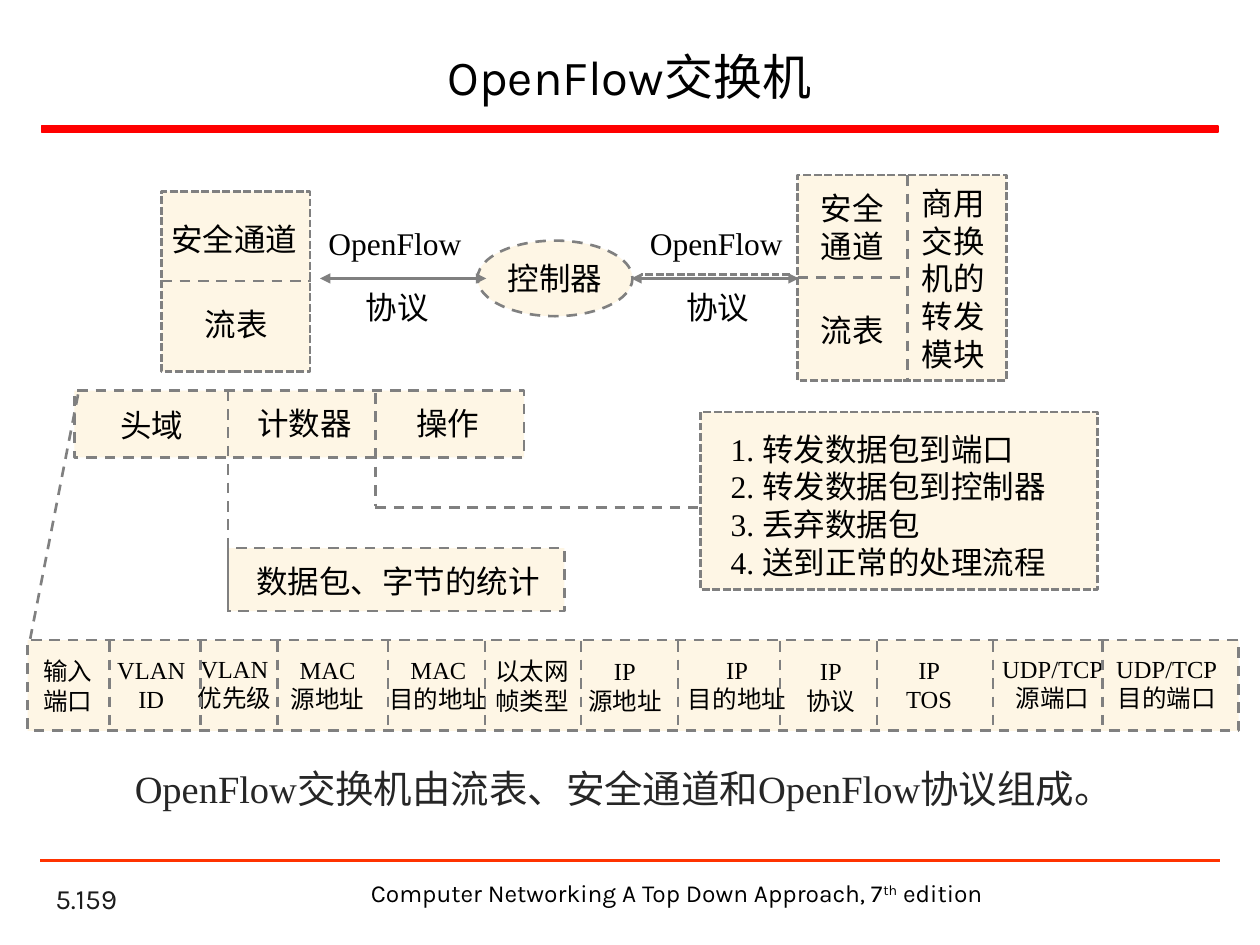
from dataclasses import dataclass

import pptx
import pptx.dml.color
import pptx.enum.dml
import pptx.enum.shapes
import pptx.enum.text
import pptx.oxml
import pptx.oxml.ns
import pptx.util

PX = 9144  # one px is a hundredth of an inch
SERIF, SANS = "Times New Roman", "Karla"
BLACK, GREY, CREAM, RED = "000000", "808080", "FEF6E5", "FF0000"
Dash = pptx.enum.dml.MSO_LINE
Kind = pptx.enum.shapes.MSO_SHAPE
Align = pptx.enum.text.PP_ALIGN
Anchor = pptx.enum.text.MSO_ANCHOR


@dataclass
class Panel:
    left: int
    top: int
    width: int
    height: int
    dash: Dash | None = Dash.DASH
    kind: Kind = Kind.RECTANGLE
    fill: str = CREAM
    line: str = GREY
    weight: float = 1.5


@dataclass
class Rule:
    x1: int
    y1: int
    x2: int
    y2: int
    dash: Dash | None = Dash.DASH
    arrows: bool = False
    color: str = GREY


@dataclass
class Label:
    text: str  # one paragraph a line
    left: int
    top: int
    width: int = 147
    height: int = 40
    size: int = 18
    font: str = SERIF
    color: str = BLACK
    align: Align = Align.CENTER
    anchor: Anchor = Anchor.TOP


@dataclass
class Field:
    text: str
    left: int
    width: int
    top: int
    end: int  # right edge of the field


PANELS = [
    Panel(33, 100, 934, 5, None, fill=RED, line=RED, weight=1),
    Panel(128, 152, 118, 143, Dash.SQUARE_DOT),
    Panel(379, 191, 123, 60, kind=Kind.OVAL),
    Panel(633, 139, 166, 163, Dash.SQUARE_DOT),
    Panel(556, 327, 315, 141, Dash.SQUARE_DOT),
    Panel(59, 310, 357, 53),
    Panel(181, 435, 267, 50),
    Panel(22, 508, 961, 72),
]

RULES = [
    Rule(32, 683, 968, 683, None, color="FF3300"),
    # Switch compartments
    Rule(128, 223, 247, 223),
    Rule(633, 220, 720, 220),
    Rule(720, 139, 720, 302),
    # Protocol links
    Rule(254, 221, 386, 221, None, arrows=True),
    Rule(501, 221, 634, 221, None, arrows=True),
    Rule(627, 218, 509, 218, Dash.SQUARE_DOT),
    # Flow entry dividers and call-outs
    Rule(181, 310, 181, 486),
    Rule(298, 312, 298, 402),
    Rule(298, 403, 554, 403),
    Rule(62, 313, 24, 507),
]

ACTIONS = "1. 转发数据包到端口\n2. 转发数据包到控制器\n3. 丢弃数据包\n4. 送到正常的处理流程"
LABELS = [
    # Switches and controller
    Label("安全通道", 126, 170, align=Align.LEFT),
    Label("流表", 114, 237),
    Label("控制器", 367, 201),
    Label("OpenFlow", 240, 173),
    Label("协议", 242, 224),
    Label("OpenFlow", 495, 173),
    Label("协议", 496, 224),
    Label("安全\n通道", 603, 145, height=71),
    Label("流表", 603, 242),
    Label("商用交换机的转发模块", 718, 141, 77, 162),
    # Flow entry
    Label("头域", 47, 317),
    Label("计数器", 168, 316),
    Label("操作", 282, 316),
    Label("数据包、字节的统计", 193, 441, 246),
    Label(ACTIONS, 570, 336, 277, 131, align=Align.LEFT),
    # Summary and page number
    Label("OpenFlow交换机由流表、安全通道和OpenFlow协议组成。", 76, 602, 838, 47, 22, color="262626"),
    Label("5.159", 34, 698, 208, 33, 16, SANS, "1C1C1C", Align.LEFT, Anchor.BOTTOM),
]

FIELDS = [
    Field("输入\n端口", 18, 72, 516, 87),
    Field("VLAN\nID", 79, 82, 515, 159),
    Field("VLAN\n优先级", 145, 82, 514, 220),
    Field("MAC\n源地址", 207, 106, 515, 308),
    Field("MAC\n目的地址", 293, 110, 515, 385),
    Field("以太网\n帧类型", 381, 83, 516, 461),
    Field("IP\n源地址", 453, 86, 516, 538),
    Field("IP\n目的地址", 515, 140, 515, 619),
    Field("IP\n协议", 623, 73, 516, 696),
    Field("IP\nTOS", 701, 73, 515, 788),
    Field("UDP/TCP\n源端口", 784, 103, 514, 875),
    Field("UDP/TCP\n目的端口", 872, 108, 514, 983),
]


def rgb(color: str) -> pptx.dml.color.RGBColor:
    return pptx.dml.color.RGBColor.from_string(color)


def set_line(line, color: str, weight: float, dash: Dash | None) -> None:
    line.color.rgb = rgb(color)
    line.width = pptx.util.Pt(weight)
    if dash is not None:
        line.dash_style = dash


def set_font(para, size: int, font: str, color: str, align: Align) -> None:
    para.alignment = align
    para.font.size = pptx.util.Pt(size)
    para.font.name = font
    para.font.color.rgb = rgb(color)


def draw_panel(page, panel: Panel) -> None:
    box = page.shapes.add_shape(
        panel.kind, panel.left * PX, panel.top * PX, panel.width * PX, panel.height * PX)
    box.shadow.inherit = False
    box.fill.solid()
    box.fill.fore_color.rgb = rgb(panel.fill)
    set_line(box.line, panel.line, panel.weight, panel.dash)


def draw_rule(page, rule: Rule) -> None:
    link = page.shapes.add_connector(
        pptx.enum.shapes.MSO_CONNECTOR.STRAIGHT,
        rule.x1 * PX, rule.y1 * PX, rule.x2 * PX, rule.y2 * PX)
    set_line(link.line, rule.color, 1.5, rule.dash)
    if rule.arrows:
        for end in ("a:headEnd", "a:tailEnd"):
            arrow = pptx.oxml.parse_xml(f'<{end} {pptx.oxml.ns.nsdecls("a")} type="triangle"/>')
            link.line._get_or_add_ln().append(arrow)
    link._element.spPr.append(
        pptx.oxml.parse_xml(f'<a:effectLst {pptx.oxml.ns.nsdecls("a")}/>'))


def draw_label(page, label: Label):
    box = page.shapes.add_textbox(
        label.left * PX, label.top * PX, label.width * PX, label.height * PX)
    frame = box.text_frame
    frame.word_wrap = True
    frame.vertical_anchor = label.anchor
    frame.text = label.text
    for para in frame.paragraphs:
        set_font(para, label.size, label.font, label.color, label.align)
    return box


def main() -> None:
    deck = pptx.Presentation()
    deck.slide_width, deck.slide_height = 1000 * PX, 750 * PX
    page = deck.slides.add_slide(deck.slide_layouts[5])

    # Title
    title = page.shapes.title
    title.left, title.top, title.width, title.height = 37 * PX, 25 * PX, 925 * PX, 70 * PX
    title.text_frame.text = "OpenFlow交换机"
    title.text_frame.vertical_anchor = Anchor.MIDDLE
    set_font(title.text_frame.paragraphs[0], 28, SANS, BLACK, Align.CENTER)

    # Diagram
    for panel in PANELS:
        draw_panel(page, panel)
    for rule in RULES:
        draw_rule(page, rule)
    for label in LABELS:
        draw_label(page, label)

    # Header fields, with a divider after each but the last
    for field in FIELDS:
        draw_label(page, Label(field.text, field.left, field.top, field.width, 57, 14))
    for field in FIELDS[:-1]:
        draw_rule(page, Rule(field.end, 509, field.end, 580))

    # Footer with a raised ordinal
    footer = draw_label(page, Label(
        "Computer Networking A Top Down Approach, 7", 283, 692, 508, 34, 14, SANS))
    para = footer.text_frame.paragraphs[0]
    for text, baseline in (("th", "30000"), (" edition", "0")):
        span = para.add_run()
        span.text = text
        span._r.get_or_add_rPr().set("baseline", baseline)

    deck.save("out.pptx")


if __name__ == "__main__":
    main()
